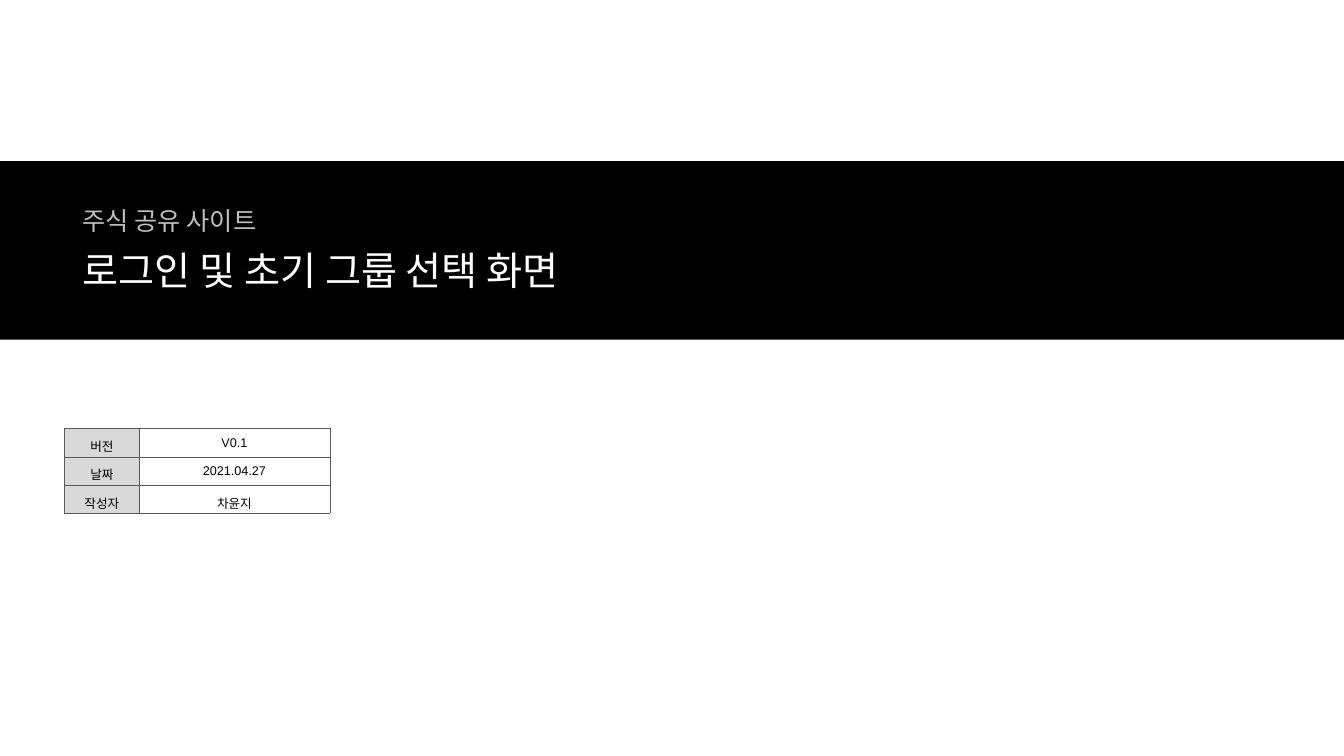
from lxml import etree
from pptx import Presentation
from pptx import util as u
from pptx.dml.color import RGBColor
from pptx.enum import shapes, text
from pptx.oxml.ns import qn

W, H = 13.33, 7.5
BLACK, WHITE, SILVER, GRAY, LINE = "000000", "FFFFFF", "BFBFBF", "D9D9D9", "595959"
KOREAN = "Noto Sans CJK KR"
TABLE_LEFT, TABLE_TOP = 0.64, 4.25
COLUMNS, ROW = (0.74, 1.89), 0.28
DETAILS = [("버전", "V0.1"), ("날짜", "2021.04.27"), ("작성자", "차윤지")]


def color(value):
    return RGBColor.from_string(value)


def apply(target, formats):
    for name, value in formats.items():
        setattr(target, name, value)


def box(*lengths):
    return dict(zip(("left", "top", "width", "height"), map(u.Inches, lengths)))


def write(tf, words, font, size, fill, paragraph):
    p = tf.paragraphs[0]
    apply(p, paragraph)
    r = p.add_run()
    r.text = words
    apply(r.font, {"name": font, "size": u.Pt(size), "bold": False})
    r.font.color.rgb = color(fill)
    return r


def add_band(s, top, height):
    band = s.shapes.add_shape(shapes.MSO_SHAPE.RECTANGLE, **box(0, top, W, height))
    band.shadow.inherit = False
    band.fill.solid()
    band.fill.fore_color.rgb = color(BLACK)
    band.line.fill.background()
    # Keep the band behind the headings
    s.shapes._spTree.insert(2, band._element)


def fill_heading(sp, place, words, size, fill):
    apply(sp, box(*place))
    tf = sp.text_frame
    apply(tf, {"word_wrap": False, "vertical_anchor": text.MSO_ANCHOR.TOP,
               "auto_size": text.MSO_AUTO_SIZE.SHAPE_TO_FIT_TEXT})
    r = write(tf, words, KOREAN, size, fill,
              {"alignment": text.PP_ALIGN.LEFT, "space_before": u.Pt(0)})
    # East Asian typeface
    etree.SubElement(r.font._element, qn("a:ea"), typeface=KOREAN)


def add_borders(cell):
    tc_pr = cell._tc.get_or_add_tcPr()
    for i, side in enumerate(("lnL", "lnR", "lnT", "lnB")):
        ln = etree.Element(qn(f"a:{side}"), w=str(u.Pt(0.25)))
        solid = etree.SubElement(ln, qn("a:solidFill"))
        etree.SubElement(solid, qn("a:srgbClr"), val=LINE)
        tc_pr.insert(i, ln)


def add_details(s):
    place = box(TABLE_LEFT, TABLE_TOP, sum(COLUMNS), ROW * len(DETAILS))
    table = s.shapes.add_table(len(DETAILS), len(COLUMNS), **place).table
    apply(table, {"first_row": False, "horz_banding": False})
    for column, width in zip(table.columns, COLUMNS):
        column.width = u.Inches(width)
    for i, values in enumerate(DETAILS):
        table.rows[i].height = u.Inches(ROW)
        for j, words in enumerate(values):
            cell = table.cell(i, j)
            cell.fill.solid()
            cell.fill.fore_color.rgb = color(WHITE if j else GRAY)
            write(cell.text_frame, words, "Arial", 9, BLACK,
                  {"alignment": text.PP_ALIGN.CENTER, "line_spacing": 1.2,
                   "space_before": u.Pt(1.8)})
            add_borders(cell)


def main():
    prs = Presentation()
    apply(prs, {"slide_width": u.Inches(W), "slide_height": u.Inches(H)})
    s = prs.slides.add_slide(prs.slide_layouts[0])

    # Title band
    add_band(s, 1.6, 1.77)
    title, subtitle = s.placeholders
    fill_heading(subtitle, (0.72, 1.99, 2.07, 0.4), "주식 공유 사이트", 18, SILVER)
    fill_heading(title, (0.72, 2.39, 5.35, 0.57), "로그인 및 초기 그룹 선택 화면", 28, WHITE)

    # Document details
    add_details(s)
    prs.save("out.pptx")


if __name__ == "__main__":
    main()
